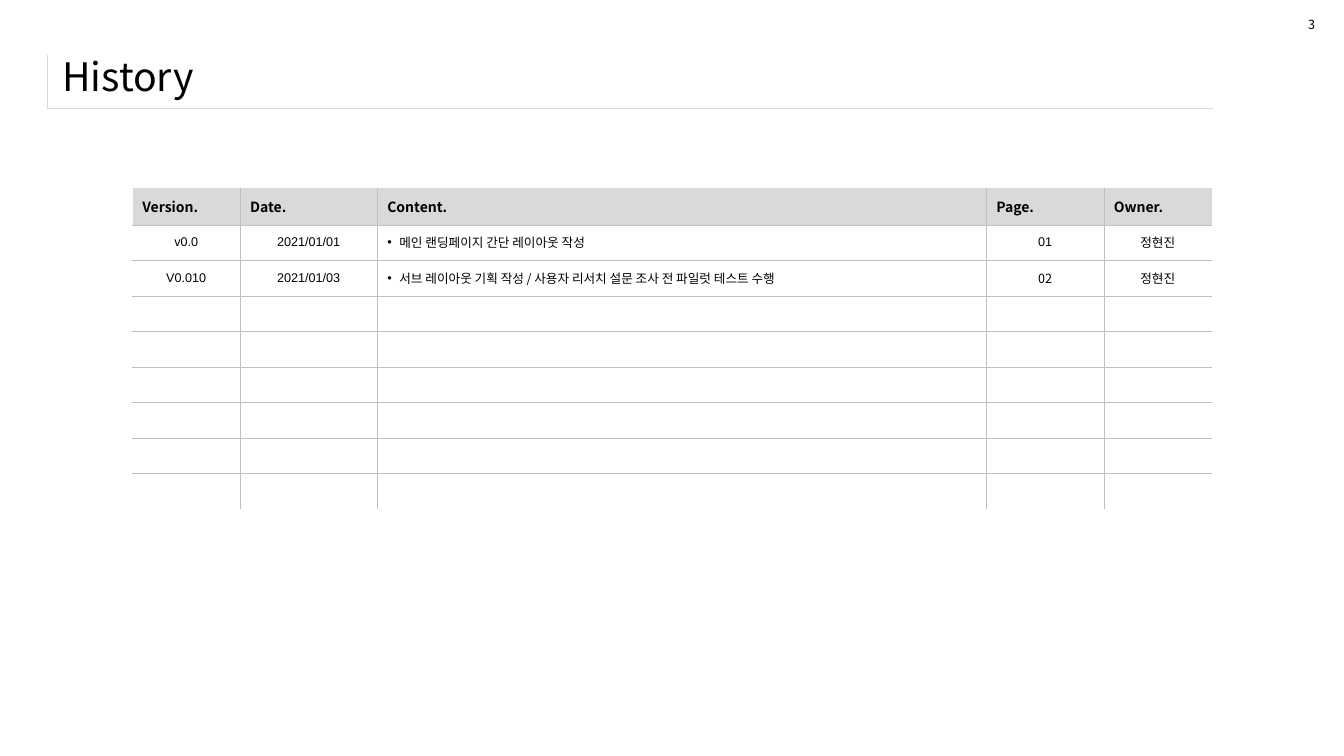
from lxml import etree
from pptx import Presentation
from pptx.dml.color import RGBColor
from pptx.enum.text import MSO_ANCHOR, PP_ALIGN
from pptx.oxml.ns import qn
from pptx.util import Pt

BLACK = RGBColor(0x00, 0x00, 0x00)
WHITE = RGBColor(0xFF, 0xFF, 0xFF)
HEADER_GRAY = RGBColor(0xD9, 0xD9, 0xD9)
GRID_GRAY = RGBColor(0xBF, 0xBF, 0xBF)
MIDDLE, TOP = MSO_ANCHOR.MIDDLE, MSO_ANCHOR.TOP
CENTER, LEFT = PP_ALIGN.CENTER, PP_ALIGN.LEFT
NOTO, ARIAL = "Noto Sans CJK KR", "Arial"


def add_text(p, text, font, size, bold=False):
    r = p.add_run()
    r.text = text
    for name, value in {"name": font, "size": Pt(size), "bold": bold}.items():
        setattr(r.font, name, value)
    r.font.color.rgb = BLACK
    ea = etree.SubElement(r.font._element, qn("a:ea"))
    ea.set("typeface", font)


def style_cell(cell, borders, fill=None):
    """Borders map a side (L, R, T, B) to (colour, width); other sides get no line."""
    tcPr = cell._tc.get_or_add_tcPr()
    for side in "LRTB":
        ln = etree.SubElement(tcPr, qn(f"a:ln{side}"))
        if side in borders:
            color, width = borders[side]
            ln.set("w", str(Pt(width)))
            solid = etree.SubElement(ln, qn("a:solidFill"))
            etree.SubElement(solid, qn("a:srgbClr")).set("val", str(color))
        else:
            ln.set("w", "0")
            etree.SubElement(ln, qn("a:noFill"))
    if fill is None:
        cell.fill.background()
    else:
        cell.fill.solid()
        cell.fill.fore_color.rgb = fill
    cell.vertical_anchor = MIDDLE


prs = Presentation()
prs.slide_width, prs.slide_height = Pt(960), Pt(540)
s = prs.slides.add_slide(prs.slide_layouts[6])

# Title frame: one cell with left and bottom lines
frame = s.shapes.add_table(1, 1, Pt(34), Pt(39), Pt(832.5), Pt(38.5)).table
frame.first_row = frame.horz_banding = False
title_line = (HEADER_GRAY, 0.25)
style_cell(frame.cell(0, 0), {"L": title_line, "B": title_line})

# Title and page number
for text, box, size, anchor, wrap in [
    ("History", (37.5, 31.7, 899, 45.4), 28, MIDDLE, True),
    ("3", (927.4, 8.6, 19.5, 18), 9, TOP, False),
]:
    tf = s.shapes.add_textbox(*map(Pt, box)).text_frame
    tf.word_wrap = wrap
    tf.vertical_anchor = anchor
    add_text(tf.paragraphs[0], text, NOTO, size)

# History table
HEADERS = ["Version.", "Date.", "Content.", "Page.", "Owner."]
ENTRIES = [
    ["v0.0", "2021/01/01", "메인 랜딩페이지 간단 레이아웃 작성", "01", "정현진"],
    ["V0.010", "2021/01/03",
     "서브 레이아웃 기획 작성 / 사용자 리서치 설문 조사 전 파일럿 테스트 수행", "02", "정현진"],
]
FONTS = [[ARIAL, ARIAL, NOTO, ARIAL, NOTO], [ARIAL, ARIAL, NOTO, NOTO, NOTO]]
COL_WIDTHS = [77, 98, 435, 84, 77]
ROW_HEIGHTS = [26.5] + [25.4] * 8
CONTENT_COL = HEADERS.index("Content.")
last_row, last_col = len(ROW_HEIGHTS) - 1, len(COL_WIDTHS) - 1

history = s.shapes.add_table(len(ROW_HEIGHTS), len(COL_WIDTHS), Pt(94.5), Pt(134),
                             Pt(sum(COL_WIDTHS)), Pt(sum(ROW_HEIGHTS))).table
history.first_row = history.horz_banding = False
for col, width in zip(history.columns, COL_WIDTHS):
    col.width = Pt(width)
for row, height in zip(history.rows, ROW_HEIGHTS):
    row.height = Pt(height)

grid_line, outer_line = (GRID_GRAY, 0.25), (WHITE, 1)
for i in range(last_row + 1):
    for j in range(last_col + 1):
        cell = history.cell(i, j)
        borders = {"L": grid_line if j else outer_line,
                   "B": grid_line if i < last_row else outer_line}
        if i > 0:
            borders["T"] = grid_line
        if j < last_col:
            borders["R"] = grid_line
        style_cell(cell, borders, None if i else HEADER_GRAY)

        p = cell.text_frame.paragraphs[0]
        if i == 0:
            add_text(p, HEADERS[j], NOTO, 10, True)
        elif i <= len(ENTRIES):
            add_text(p, ENTRIES[i - 1][j], FONTS[i - 1][j], 9)
            p.alignment = LEFT if j == CONTENT_COL else CENTER
            if j == CONTENT_COL:
                pPr = p._p.get_or_add_pPr()
                pPr.set("marL", str(Pt(8.6)))
                pPr.set("indent", str(Pt(-8.6)))
                etree.SubElement(pPr, qn("a:buFont")).set("typeface", ARIAL)
                etree.SubElement(pPr, qn("a:buChar")).set("char", "•")
        else:
            # A small end mark keeps empty rows at their set height
            etree.SubElement(p._p, qn("a:endParaRPr")).set("sz", "900")

prs.save("out.pptx")
